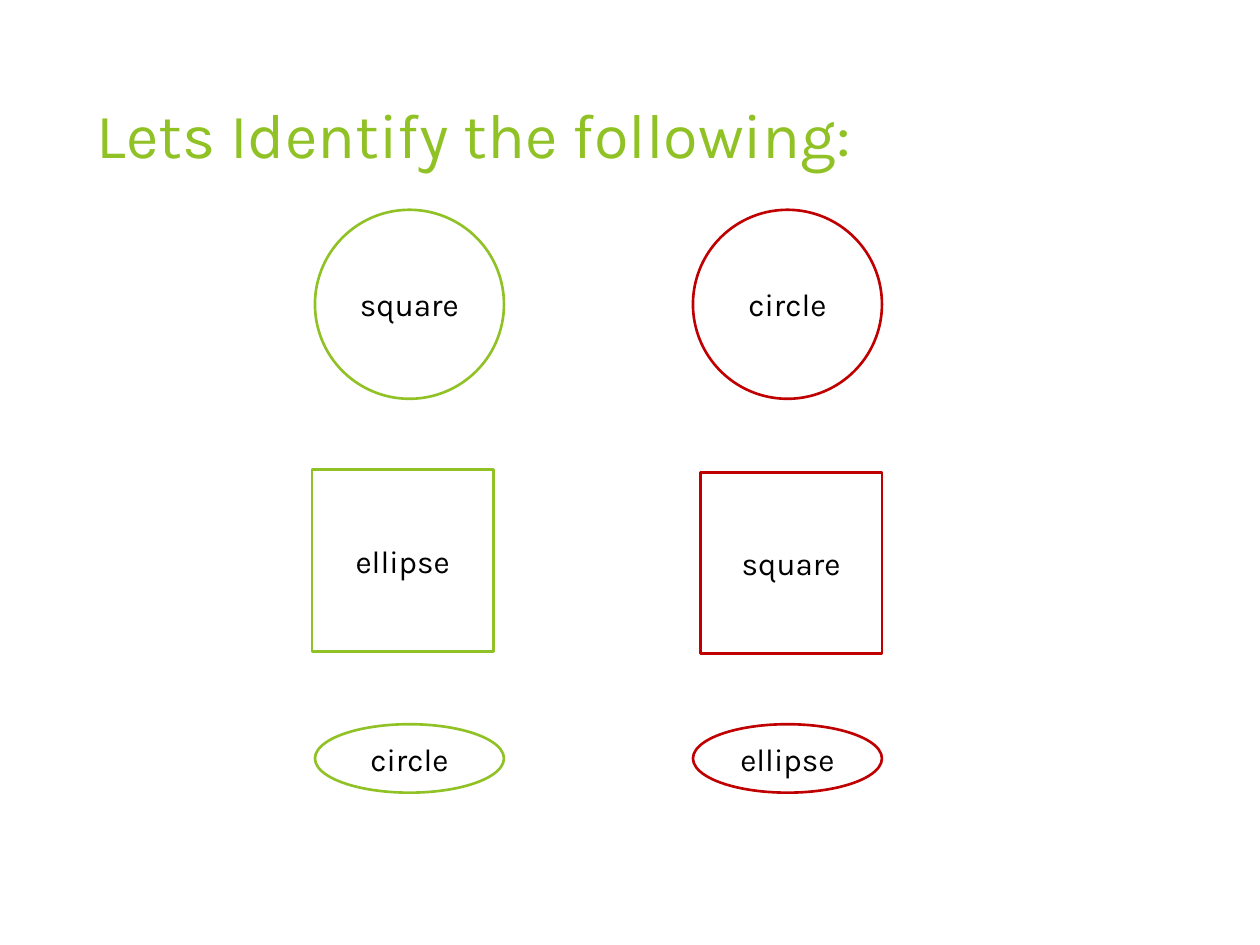
from pptx import Presentation
from pptx.dml.color import RGBColor
from pptx.enum.shapes import MSO_SHAPE
from pptx.enum.text import MSO_ANCHOR, PP_ALIGN
from pptx.util import Cm, Pt

GREEN = RGBColor(0x90, 0xC2, 0x26)
RED = RGBColor(0xC0, 0x00, 0x00)
BLACK = RGBColor(0x00, 0x00, 0x00)
WHITE = RGBColor(0xFF, 0xFF, 0xFF)
OVAL, RECT = MSO_SHAPE.OVAL, MSO_SHAPE.RECTANGLE
TOP, MIDDLE = MSO_ANCHOR.TOP, MSO_ANCHOR.MIDDLE
LEFT, CENTER = PP_ALIGN.LEFT, PP_ALIGN.CENTER


def write(shape, text, size, color, align, anchor):
    frame = shape.text_frame
    frame.word_wrap = True
    frame.vertical_anchor = anchor
    frame.text = text
    line = frame.paragraphs[0]
    line.alignment = align
    font = line.runs[0].font
    font.name, font.size = "Karla", Pt(size)
    font.color.rgb = color


prs = Presentation()
prs.slide_width, prs.slide_height = Cm(25.4), Cm(19.05)
slide = prs.slides.add_slide(prs.slide_layouts[6])

# Title
title = slide.shapes.add_textbox(Cm(1.7), Cm(1.7), Cm(17.63), Cm(3.66))
title.text_frame.margin_top = Cm(0.23)
write(title, "Lets Identify the following:", 36, GREEN, LEFT, TOP)

# Wrong labels in green on the left, right labels in red on the right
# Each figure: kind, label, left, top, width, height in cm
columns = [
    (GREEN, [
        (OVAL, "square", 6.35, 4.23, 3.81, 3.81),
        (RECT, "ellipse", 6.29, 9.47, 3.66, 3.66),
        (OVAL, "circle", 6.35, 14.6, 3.81, 1.38),
    ]),
    (RED, [
        (OVAL, "circle", 13.97, 4.23, 3.81, 3.81),
        (RECT, "square", 14.12, 9.52, 3.66, 3.66),
        (OVAL, "ellipse", 13.97, 14.6, 3.81, 1.38),
    ]),
]
for color, figures in columns:
    for kind, label, *place in figures:
        figure = slide.shapes.add_shape(kind, *map(Cm, place))
        figure.shadow.inherit = False
        figure.fill.solid()
        figure.fill.fore_color.rgb = WHITE
        figure.line.color.rgb = color
        figure.line.width = Pt(1.5)
        write(figure, label, 18, BLACK, CENTER, MIDDLE)

prs.save("out.pptx")
